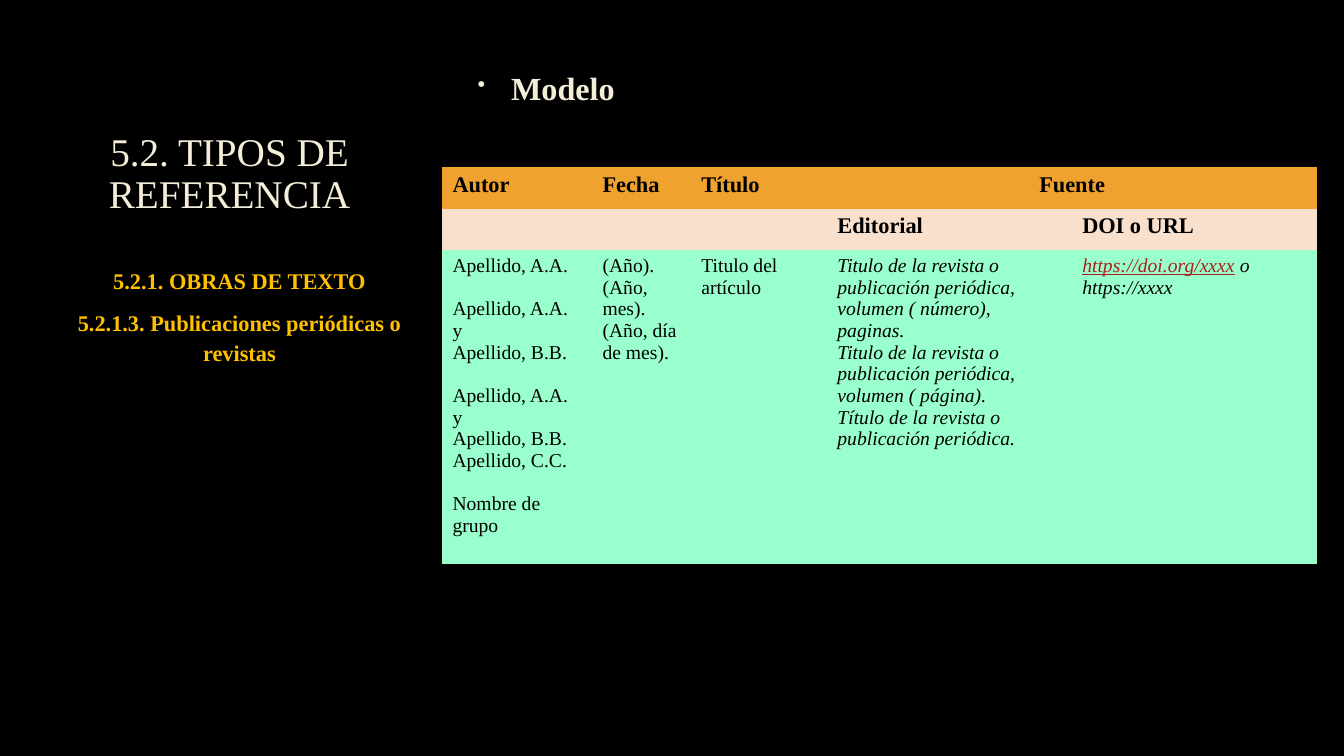
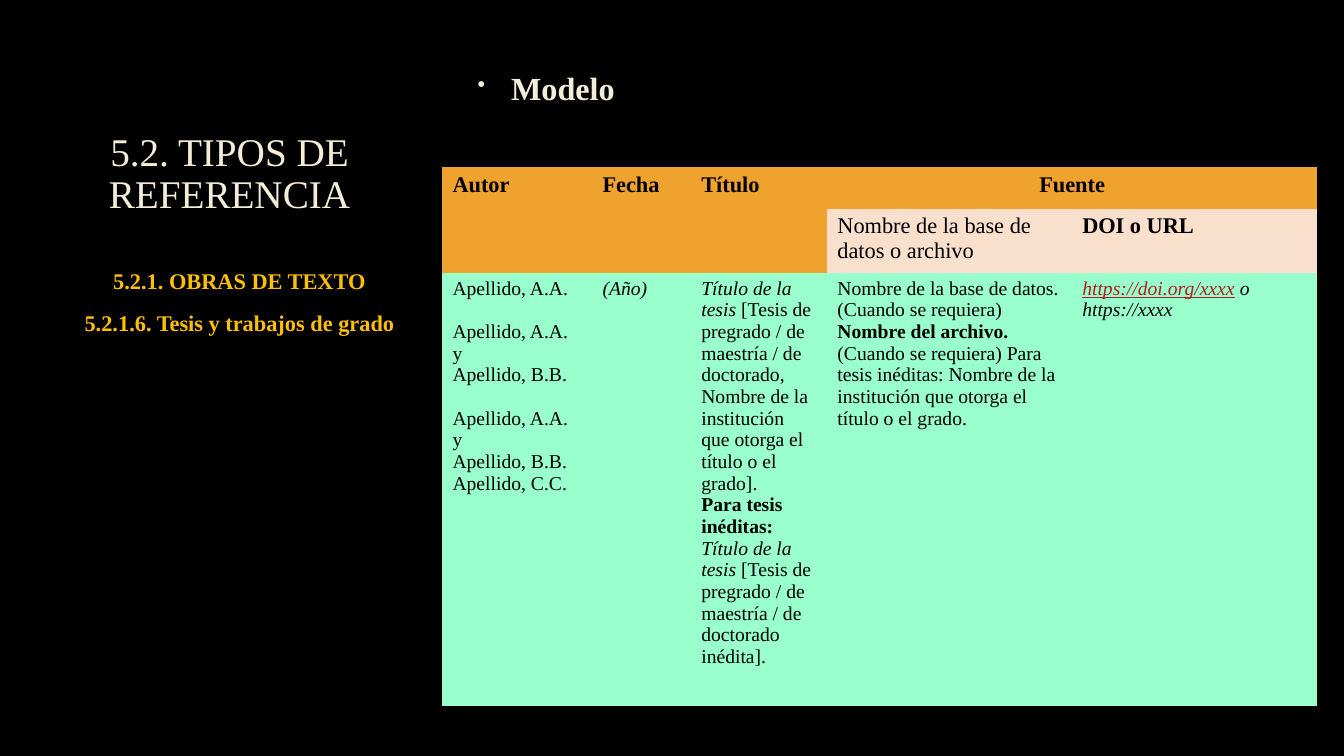
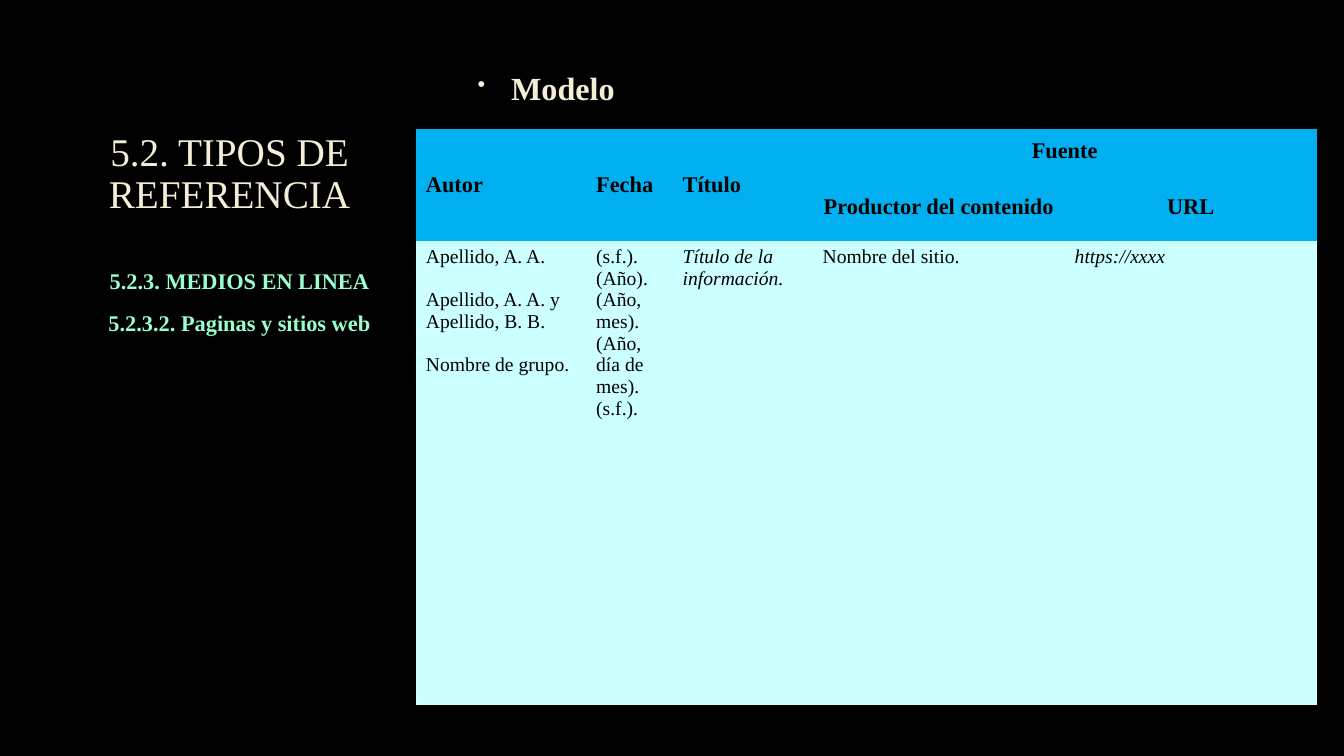
from dataclasses import dataclass, field

from lxml.etree import SubElement
from pptx import Presentation
from pptx.dml.color import RGBColor
from pptx.enum.text import MSO_ANCHOR, PP_ALIGN
from pptx.oxml.ns import qn
from pptx.util import Cm, Pt


@dataclass(frozen=True)
class Theme:
    font: str = "Times New Roman"
    background: str = "000000"
    cream: str = "F4EDD8"
    gold: str = "FFC000"
    mint: str = "99FFCC"
    orange: str = "F0A22E"
    peach: str = "F9E0CD"
    blue: str = "00B0F0"
    ice: str = "CCFFFF"
    ink: str = "000000"
    link: str = "AD1F1F"
    outline: str = "404040"
    title_size: float = 28
    label_size: float = 23
    head_size: float = 16
    body_size: float = 14
    line_gap: float = 15.5
    plain_table: str = "{2D5ABB26-0587-4C30-8999-92F81FD0307C}"


THEME = Theme()


@dataclass
class Span:
    text: str
    bold: bool | None = None
    italic: bool | None = None
    link: bool = False


@dataclass
class Line:
    spans: list
    bold: bool = False
    italic: bool = False
    gap: bool = False


@dataclass
class Model:
    left: float
    top: float
    columns: list
    rows: list
    fills: list
    subheads: list
    body: list
    merge_heads: bool = True
    anchor: MSO_ANCHOR = MSO_ANCHOR.TOP
    subhead_align: PP_ALIGN = PP_ALIGN.LEFT
    heads: list = field(default_factory=lambda: ["Autor", "Fecha", "Título", "Fuente"])


def plain(text, **style):
    return Line([Span(text)], **style)


def style_font(font, size, color, bold=False, italic=False):
    font.name = THEME.font
    font.size = Pt(size)
    font.color.rgb = RGBColor.from_string(color)
    font.bold = bold
    font.italic = italic


def outline_text(paragraph):
    properties = paragraph._p.pPr.find(qn("a:defRPr"))
    line = properties.makeelement(qn("a:ln"), {"w": "9525"})
    color = SubElement(SubElement(line, qn("a:solidFill")), qn("a:srgbClr"), val=THEME.outline)
    SubElement(color, qn("a:alpha"), val="10000")
    properties.insert(0, line)


def add_bullet(paragraph):
    properties = paragraph._p.get_or_add_pPr()
    properties.set("marL", str(Cm(0.97)))
    properties.set("indent", str(Cm(-0.84)))
    color = properties.makeelement(qn("a:buClr"), {})
    SubElement(color, qn("a:srgbClr"), val=THEME.cream)
    size = properties.makeelement(qn("a:buSzPct"), {"val": "70000"})
    mark = properties.makeelement(qn("a:buChar"), {"char": "•"})
    position = list(properties).index(properties.find(qn("a:defRPr")))
    properties[position:position] = [color, size, mark]


def add_text(page, place, lines, size, color, bold=True, align=PP_ALIGN.CENTER,
             spacing=1.1, before=0.2, after=6, anchor=MSO_ANCHOR.TOP):
    box = page.shapes.add_textbox(*map(Cm, place))
    frame = box.text_frame
    frame.word_wrap = True
    frame.vertical_anchor = anchor
    for index, text in enumerate(lines):
        para = frame.add_paragraph() if index else frame.paragraphs[0]
        para.text = text
        para.alignment = align
        para.line_spacing = spacing
        para.space_before = Pt(size * before)
        para.space_after = Pt(after)
        style_font(para.font, size, color, bold)
        outline_text(para)
    return box


def write_cell(cell, lines, size, align=PP_ALIGN.LEFT, anchor=MSO_ANCHOR.TOP):
    cell.vertical_anchor = anchor
    frame = cell.text_frame
    for index, line in enumerate(lines):
        para = frame.add_paragraph() if index else frame.paragraphs[0]
        para.alignment = align
        style_font(para.font, size, THEME.ink, line.bold, line.italic)
        if line.gap:
            para.space_before = Pt(THEME.line_gap)
        for span in line.spans:
            run = para.add_run()
            run.text = span.text
            run.font.bold = span.bold
            run.font.italic = span.italic
            if span.link:
                run.font.underline = True
                run.font.color.rgb = RGBColor.from_string(THEME.link)


def add_model_table(page, model):
    frame = page.shapes.add_table(
        len(model.rows), len(model.columns), Cm(model.left), Cm(model.top),
        Cm(sum(model.columns)), Cm(sum(model.rows)))
    table = frame.table
    table.first_row = False
    table.horz_banding = False
    table._tbl.tblPr.find(qn("a:tableStyleId")).text = THEME.plain_table
    for column, width in zip(table.columns, model.columns):
        column.width = Cm(width)
    for row, height, color in zip(table.rows, model.rows, model.fills):
        row.height = Cm(height)
        for cell in row.cells:
            cell.fill.solid()
            cell.fill.fore_color.rgb = RGBColor.from_string(color)

    table.cell(0, 3).merge(table.cell(0, 4))
    if model.merge_heads:
        for column in range(3):
            table.cell(0, column).merge(table.cell(1, column))
    for column, head in enumerate(model.heads):
        align = PP_ALIGN.CENTER if column == 3 else PP_ALIGN.LEFT
        write_cell(table.cell(0, column), [plain(head, bold=True)],
                   THEME.head_size, align, model.anchor)
    for column, subhead in enumerate(model.subheads, start=3):
        write_cell(table.cell(1, column), [subhead], THEME.head_size,
                   model.subhead_align, model.anchor)
    for column, lines in enumerate(model.body):
        write_cell(table.cell(2, column), lines, THEME.body_size)


def add_page(deck, topics, topic_color, model):
    page = deck.slides.add_slide(deck.slide_layouts[6])
    add_text(page, (0.64, 2.39, 10.29, 3.2), ["5.2. TIPOS DE REFERENCIA"],
             THEME.title_size, THEME.cream, bold=False, spacing=0.9,
             before=0, after=0, anchor=MSO_ANCHOR.BOTTOM)
    label = add_text(page, (11.66, 1.5, 17.81, 1.78), ["Modelo"],
                     THEME.label_size, THEME.cream, align=PP_ALIGN.LEFT)
    add_bullet(label.text_frame.paragraphs[0])
    add_text(page, (0.89, 6.53, 10.29, 8.38), topics, THEME.head_size, topic_color)
    add_model_table(page, model)


def main():
    deck = Presentation()
    deck.slide_width, deck.slide_height = Cm(33.87), Cm(19.05)
    background = deck.slide_master.background.fill
    background.solid()
    background.fore_color.rgb = RGBColor.from_string(THEME.background)

    text_columns = [3.78, 2.49, 3.43, 6.17, 6.17]
    text_fills = [THEME.orange, THEME.peach, THEME.mint]
    authors = [
        plain("Apellido, A.A."),
        plain("Apellido, A.A. y", gap=True),
        plain("Apellido, B.B."),
        plain("Apellido, A.A. y", gap=True),
        plain("Apellido, B.B."),
        plain("Apellido, C.C."),
    ]
    address = [Line([Span("https://doi.org/xxxx", link=True), Span(" o https://xxxx")], italic=True)]
    address_head = plain("DOI o URL", bold=True)

    journals = Model(
        11.15, 4.22, text_columns, [1.04, 1.04, 7.9], text_fills,
        [plain("Editorial", bold=True), address_head],
        [
            authors + [plain("Nombre de grupo", gap=True)],
            [plain("(Año)."), plain("(Año, mes)."), plain("(Año, día de mes).")],
            [plain("Titulo del artículo")],
            [
                plain("Titulo de la revista o publicación periódica, volumen ( número), paginas.", italic=True),
                plain("Titulo de la revista o publicación periódica, volumen ( página).", italic=True),
                plain("Título de la revista o publicación periódica.", italic=True),
            ],
            address,
        ],
        merge_heads=False)

    thesis_title = Span("Título de la tesis ", italic=True)
    theses = Model(
        11.15, 4.22, text_columns, [1.04, 1.5, 10.08], text_fills,
        [plain("Nombre de la base de datos o archivo"), address_head],
        [
            authors,
            [plain("(Año)", italic=True)],
            [
                Line([thesis_title, Span(
                    "[Tesis de pregrado / de maestría / de doctorado, "
                    "Nombre de la institución que otorga el título o el grado].")]),
                Line([Span("Para tesis inéditas: ", bold=True), thesis_title,
                      Span("[Tesis de pregrado / de maestría / de doctorado inédita].")]),
            ],
            [Line([
                Span("Nombre de la base de datos. (Cuando se requiera) "),
                Span("Nombre del archivo. ", bold=True),
                Span("(Cuando se requiera) Para tesis inéditas: "
                     "Nombre de la institución que otorga el título o el grado."),
            ])],
            address,
        ])

    websites = Model(
        10.48, 3.25, [4.29, 2.18, 3.53, 6.35, 6.35], [1.09, 1.73, 11.7],
        [THEME.blue, THEME.blue, THEME.ice],
        [plain("Productor del contenido", bold=True), plain("URL", bold=True)],
        [
            [
                plain("Apellido, A. A."),
                plain("Apellido, A. A. y Apellido, B. B.", gap=True),
                plain("Nombre de grupo.", gap=True),
            ],
            [plain("(s.f.). (Año). (Año, mes). (Año, día de mes). (s.f.).")],
            [plain("Título de la información.", italic=True)],
            [plain("Nombre del sitio.")],
            [plain("https://xxxx", italic=True)],
        ],
        anchor=MSO_ANCHOR.MIDDLE, subhead_align=PP_ALIGN.CENTER)

    text_works = "5.2.1. OBRAS DE TEXTO"
    add_page(deck, [text_works, "5.2.1.3. Publicaciones periódicas o revistas"], THEME.gold, journals)
    add_page(deck, [text_works, "5.2.1.6. Tesis y trabajos de grado"], THEME.gold, theses)
    add_page(deck, ["5.2.3. MEDIOS EN LINEA", "5.2.3.2. Paginas y sitios web"], THEME.mint, websites)
    deck.save("out.pptx")


if __name__ == "__main__":
    main()
